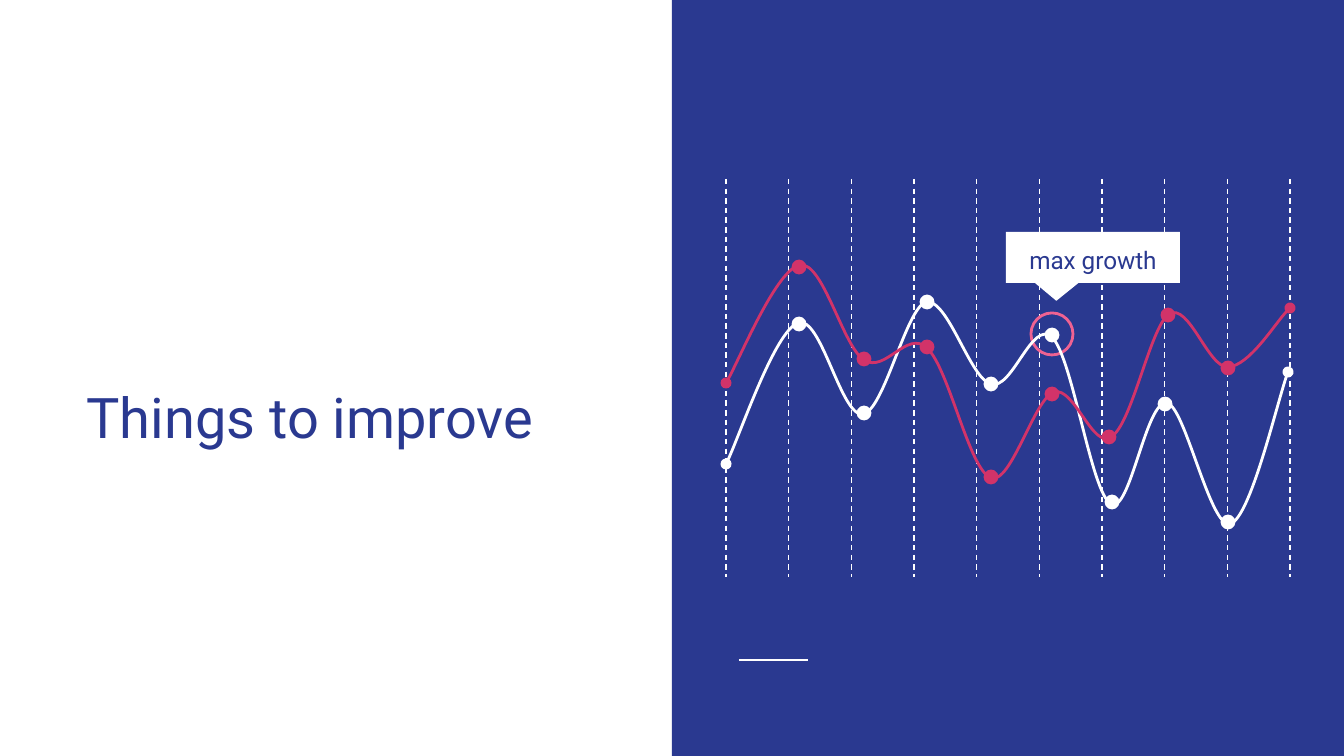
import pptx
import pptx.dml.color
import pptx.enum.dml
import pptx.enum.shapes
import pptx.enum.text
import pptx.oxml.ns
import pptx.oxml.xmlchemy
import pptx.util

RGBColor = pptx.dml.color.RGBColor
SHAPES = pptx.enum.shapes.MSO_SHAPE
ALIGN = pptx.enum.text.PP_ALIGN
ANCHOR = pptx.enum.text.MSO_ANCHOR
qn = pptx.oxml.ns.qn
new_element = pptx.oxml.xmlchemy.OxmlElement

NAVY = RGBColor(0x2A, 0x39, 0x90)
WHITE = RGBColor(0xFF, 0xFF, 0xFF)
CRIMSON = RGBColor(0xD2, 0x33, 0x69)
PINK = RGBColor(0xF0, 0x62, 0x92)

FONT = "Roboto"
SCALE = 914400 / 134.4
SLIDE_SIZE = (1344, 756)

TITLE = "Things to improve"
CALLOUT = "max growth"
GRID = {"left": 726, "right": 1290, "top": 179, "bottom": 577, "count": 10}
DOT_SIZE = 12

WHITE_CURVE = [
    (726, 464),
    (738, 441), (775, 331), (798, 323),
    (821, 314), (841, 418), (863, 414),
    (884, 411), (906, 308), (926, 302),
    (948, 298), (970, 379), (991, 384),
    (1012, 391), (1032, 319), (1052, 337),
    (1073, 358), (1091, 493), (1111, 504),
    (1130, 515), (1146, 399), (1167, 403),
    (1185, 406), (1210, 528), (1230, 524),
    (1250, 519), (1278, 398), (1288, 372),
]
WHITE_DOTS = [(799, 324), (864, 413), (927, 302), (991, 384),
              (1052, 335), (1112, 502), (1165, 404), (1228, 522)]
RED_CURVE = [
    (726, 383),
    (738, 363), (777, 269), (800, 265),
    (823, 261), (843, 347), (864, 360),
    (885, 374), (907, 329), (927, 348),
    (949, 368), (969, 470), (991, 478),
    (1011, 485), (1034, 399), (1054, 392),
    (1074, 386), (1093, 450), (1111, 437),
    (1132, 425), (1150, 327), (1169, 314),
    (1189, 302), (1208, 368), (1228, 367),
    (1249, 366), (1279, 317), (1290, 308),
]
RED_DOTS = [(799, 267), (864, 359), (927, 347), (991, 477),
            (1052, 394), (1109, 437), (1168, 315), (1228, 368)]


def px(value):
    return pptx.util.Emu(round(value * SCALE))


def set_line(shape, color, width):
    shape.line.color.rgb = color
    shape.line.width = pptx.util.Pt(width)


def add_shape(slide, kind, left, top, width, height, fill=None, line=None):
    shape = slide.shapes.add_shape(kind, px(left), px(top), px(width), px(height))
    shape.shadow.inherit = False
    if fill is None:
        shape.fill.background()
    else:
        shape.fill.solid()
        shape.fill.fore_color.rgb = fill
    if line is None:
        shape.line.fill.background()
    else:
        set_line(shape, line, 1.5)
    return shape


def add_line(slide, start, end, width, dash=None):
    connector = slide.shapes.add_connector(
        pptx.enum.shapes.MSO_CONNECTOR.STRAIGHT,
        px(start[0]), px(start[1]), px(end[0]), px(end[1]))
    set_line(connector, WHITE, width)
    if dash is not None:
        connector.line.dash_style = dash
    properties = connector._element.spPr
    properties.append(new_element("a:effectLst"))


def add_curve(slide, points, color):
    vertices = [(px(x), px(y)) for x, y in points]
    builder = slide.shapes.build_freeform(*vertices[0])
    builder.add_line_segments(vertices[1:], close=False)
    shape = builder.convert_to_shape()
    shape.shadow.inherit = False
    shape.fill.background()
    set_line(shape, color, 1.5)
    segments = list(shape.element.iter(qn("a:lnTo")))
    for first in range(0, len(segments), 3):
        bezier = new_element("a:cubicBezTo")
        segments[first].addprevious(bezier)
        for segment in segments[first:first + 3]:
            bezier.append(segment[0])
            segment.getparent().remove(segment)
    outline = shape.element.spPr.find(qn("a:ln"))
    for tag in ("a:headEnd", "a:tailEnd"):
        marker = new_element(tag)
        marker.set("type", "oval")
        outline.append(marker)


def add_series(slide, points, dots, color):
    add_curve(slide, points, color)
    for x, y in dots:
        add_shape(slide, SHAPES.OVAL, x - DOT_SIZE / 2, y - DOT_SIZE / 2,
                  DOT_SIZE, DOT_SIZE, fill=color, line=color)


def write_text(shape, text, size, align, anchor, spacing=1.0):
    frame = shape.text_frame
    frame.word_wrap = True
    frame.auto_size = pptx.enum.text.MSO_AUTO_SIZE.NONE
    frame.vertical_anchor = anchor
    inset = pptx.util.Inches(0.1)
    frame.margin_left = frame.margin_right = inset
    frame.margin_top = frame.margin_bottom = inset
    paragraph = frame.paragraphs[0]
    paragraph.alignment = align
    paragraph.line_spacing = spacing
    run = paragraph.add_run()
    run.text = text
    run.font.name = FONT
    run.font.size = pptx.util.Pt(size)
    run.font.color.rgb = NAVY


def main():
    presentation = pptx.Presentation()
    presentation.slide_width, presentation.slide_height = map(px, SLIDE_SIZE)
    slide = presentation.slides.add_slide(presentation.slide_layouts[5])

    title = slide.shapes.title
    title.left, title.top, title.width, title.height = map(px, (73, 233, 594, 230))
    write_text(title, TITLE, 30, ALIGN.LEFT, ANCHOR.BOTTOM)

    add_shape(slide, SHAPES.RECTANGLE, 672, 0, 672, 756, fill=NAVY)
    add_line(slide, (739, 660), (808, 660), 1.5)

    step = (GRID["right"] - GRID["left"]) / (GRID["count"] - 1)
    for index in range(GRID["count"]):
        x = GRID["left"] + index * step
        add_line(slide, (x, GRID["top"]), (x, GRID["bottom"]), 0.75,
                 dash=pptx.enum.dml.MSO_LINE.DASH)

    add_shape(slide, SHAPES.OVAL, 1031, 313, 42, 42, line=PINK)
    add_series(slide, WHITE_CURVE, WHITE_DOTS, WHITE)

    callout = add_shape(slide, SHAPES.ROUNDED_RECTANGULAR_CALLOUT,
                        1006, 232, 174, 51, fill=WHITE)
    for index, value in enumerate((-0.21, 0.85, 0)):
        callout.adjustments[index] = value
    write_text(callout, CALLOUT, 13, ALIGN.CENTER, ANCHOR.MIDDLE, spacing=1.15)

    add_series(slide, RED_CURVE, RED_DOTS, CRIMSON)
    presentation.save("out.pptx")


if __name__ == "__main__":
    main()
